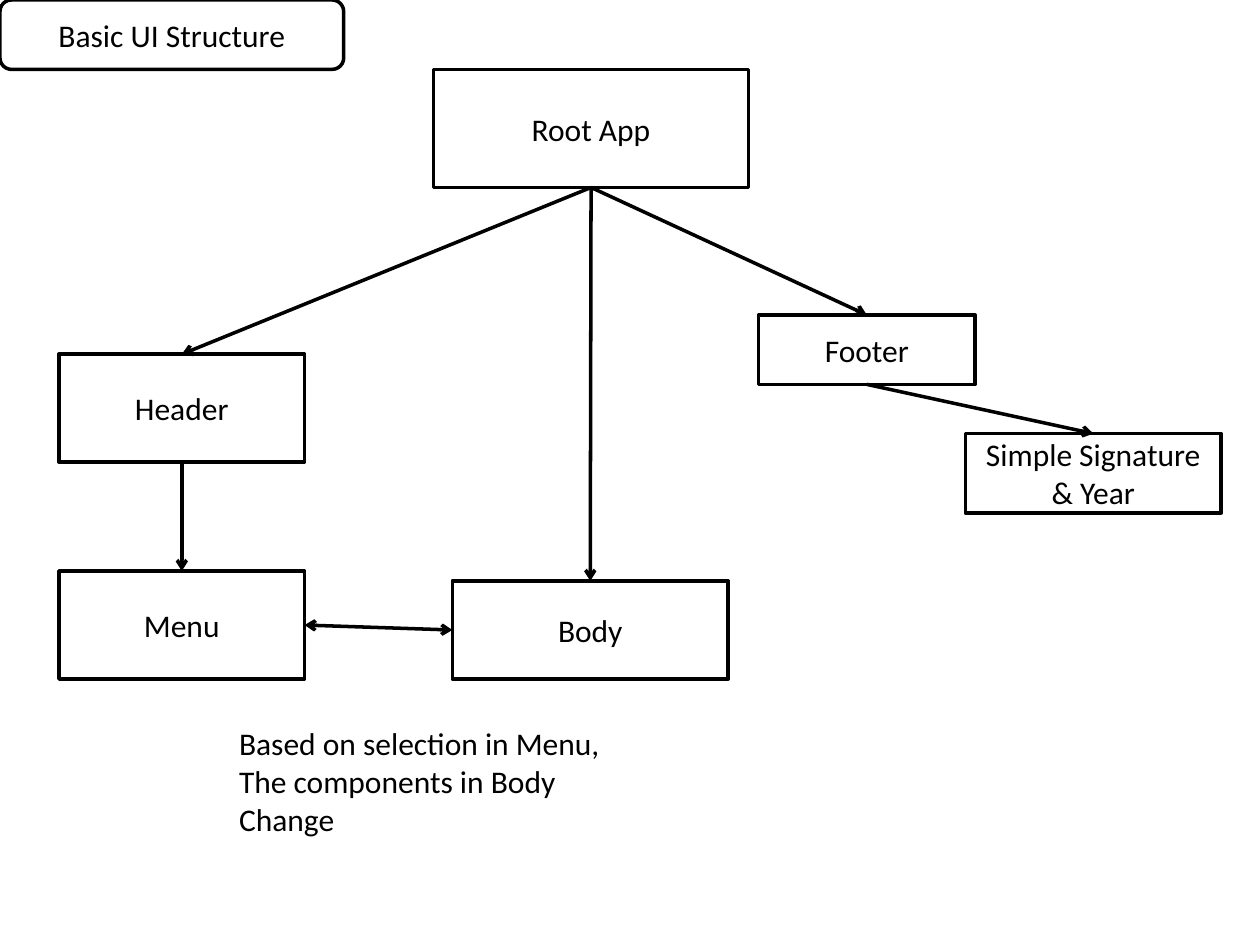
"""Draw the basic UI structure as a tree of boxes and arrows."""
from lxml.etree import SubElement
from pptx import Presentation
from pptx.dml.color import RGBColor
from pptx.enum.shapes import MSO_CONNECTOR, MSO_SHAPE
from pptx.enum.text import MSO_ANCHOR, MSO_AUTO_SIZE, PP_ALIGN
from pptx.oxml.ns import qn
from pptx.util import Cm, Pt

COLORS = {"ink": "000000", "paper": "FFFFFF"}
INK = RGBColor.from_string(COLORS["ink"])
PAPER = RGBColor.from_string(COLORS["paper"])
TOP, LEFT, BOTTOM, RIGHT = range(4)


def write(shape, text, align):
    frame = shape.text_frame
    frame.word_wrap = True
    frame.text = text
    para = frame.paragraphs[0]
    para.alignment = align
    font = para.runs[0].font
    font.name, font.size = "Calibri", Pt(18)
    font.color.rgb = INK


deck = Presentation()
deck.slide_width, deck.slide_height = Cm(25.4), Cm(19.05)
slide = deck.slides.add_slide(deck.slide_layouts[6])
shapes = slide.shapes

RECT, ROUND = MSO_SHAPE.RECTANGLE, MSO_SHAPE.ROUNDED_RECTANGLE
nodes = [
    ("Header", RECT, 1.19, 7.14, 4.95, 2.18),
    ("Root App", RECT, 8.74, 1.4, 6.35, 2.38),
    ("Body", RECT, 9.12, 11.71, 5.56, 1.98),
    ("Footer", RECT, 15.29, 6.35, 4.37, 1.4),
    ("Menu", RECT, 1.19, 11.51, 4.95, 2.18),
    ("Simple Signature & Year", RECT, 19.46, 8.74, 5.16, 1.6),
    ("Basic UI Structure", ROUND, 0, 0, 6.93, 1.4),
]
boxes = {}
for text, kind, *place in nodes:
    box = shapes.add_shape(kind, *map(Cm, place))
    box.shadow.inherit = False
    box.fill.solid()
    box.fill.fore_color.rgb = PAPER
    box.line.color.rgb = INK
    box.line.width = Pt(2)
    box.text_frame.vertical_anchor = MSO_ANCHOR.MIDDLE
    write(box, text, PP_ALIGN.CENTER)
    boxes[text] = box

links = [
    ("Root App", BOTTOM, "Header", TOP, ["tailEnd"]),
    ("Root App", BOTTOM, "Body", TOP, ["tailEnd"]),
    ("Root App", BOTTOM, "Footer", TOP, ["tailEnd"]),
    ("Footer", BOTTOM, "Simple Signature & Year", TOP, ["tailEnd"]),
    ("Header", BOTTOM, "Menu", TOP, ["tailEnd"]),
    ("Menu", RIGHT, "Body", LEFT, ["headEnd", "tailEnd"]),
]
for start, out, end, into, tips in links:
    link = shapes.add_connector(MSO_CONNECTOR.STRAIGHT, 0, 0, 0, 0)
    link.begin_connect(boxes[start], out)
    link.end_connect(boxes[end], into)
    link.line.color.rgb = INK
    link.line.width = Pt(2)
    props = link._element.spPr
    for tip in tips:
        SubElement(props.find(qn("a:ln")), qn(f"a:{tip}"), type="arrow")
    SubElement(props, qn("a:effectLst"))

note = shapes.add_textbox(Cm(4.57), Cm(14.48), Cm(7.95), Cm(2.57))
write(note, "Based on selection in Menu, The components in Body Change", PP_ALIGN.LEFT)
note.text_frame.auto_size = MSO_AUTO_SIZE.SHAPE_TO_FIT_TEXT

deck.save("out.pptx")
